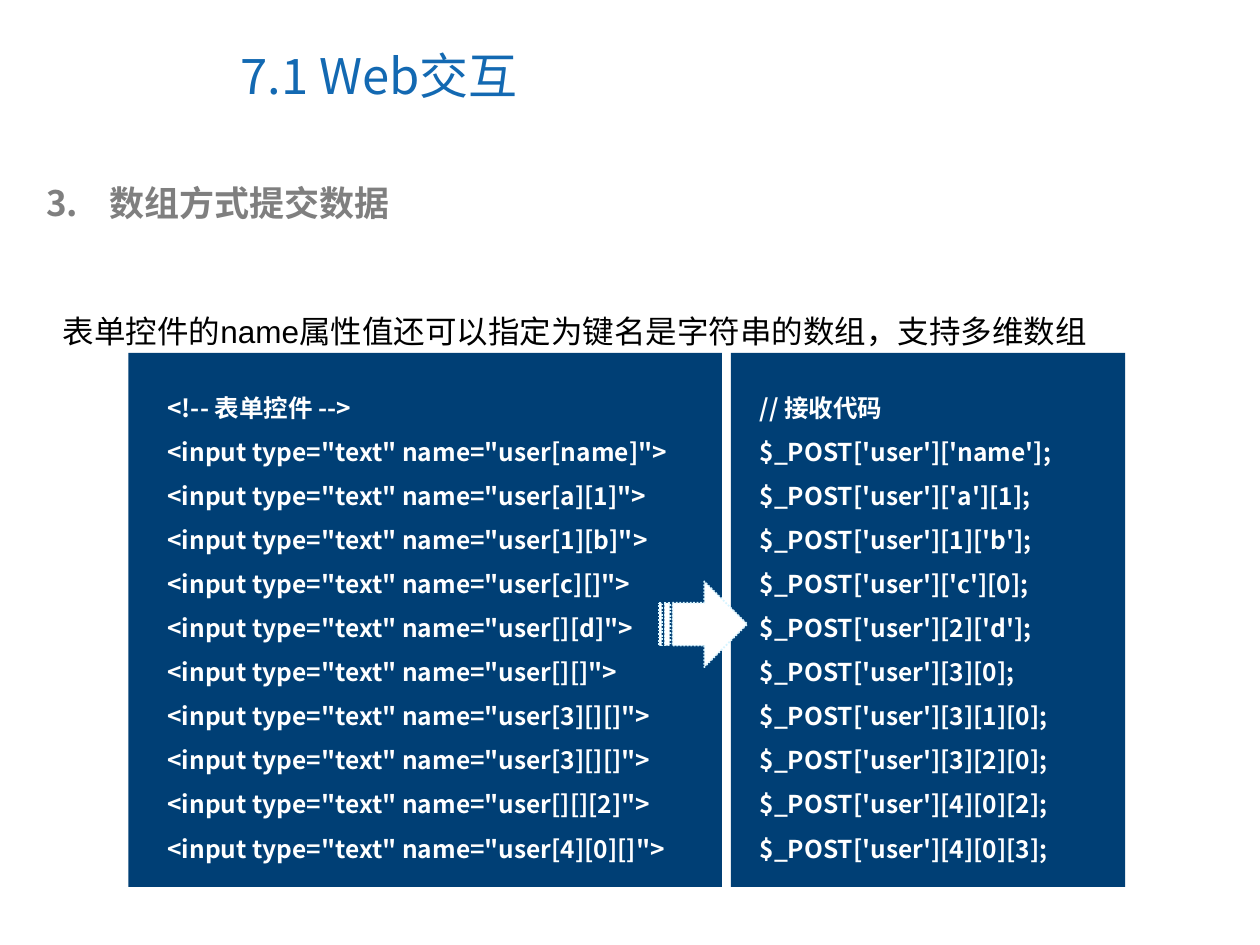
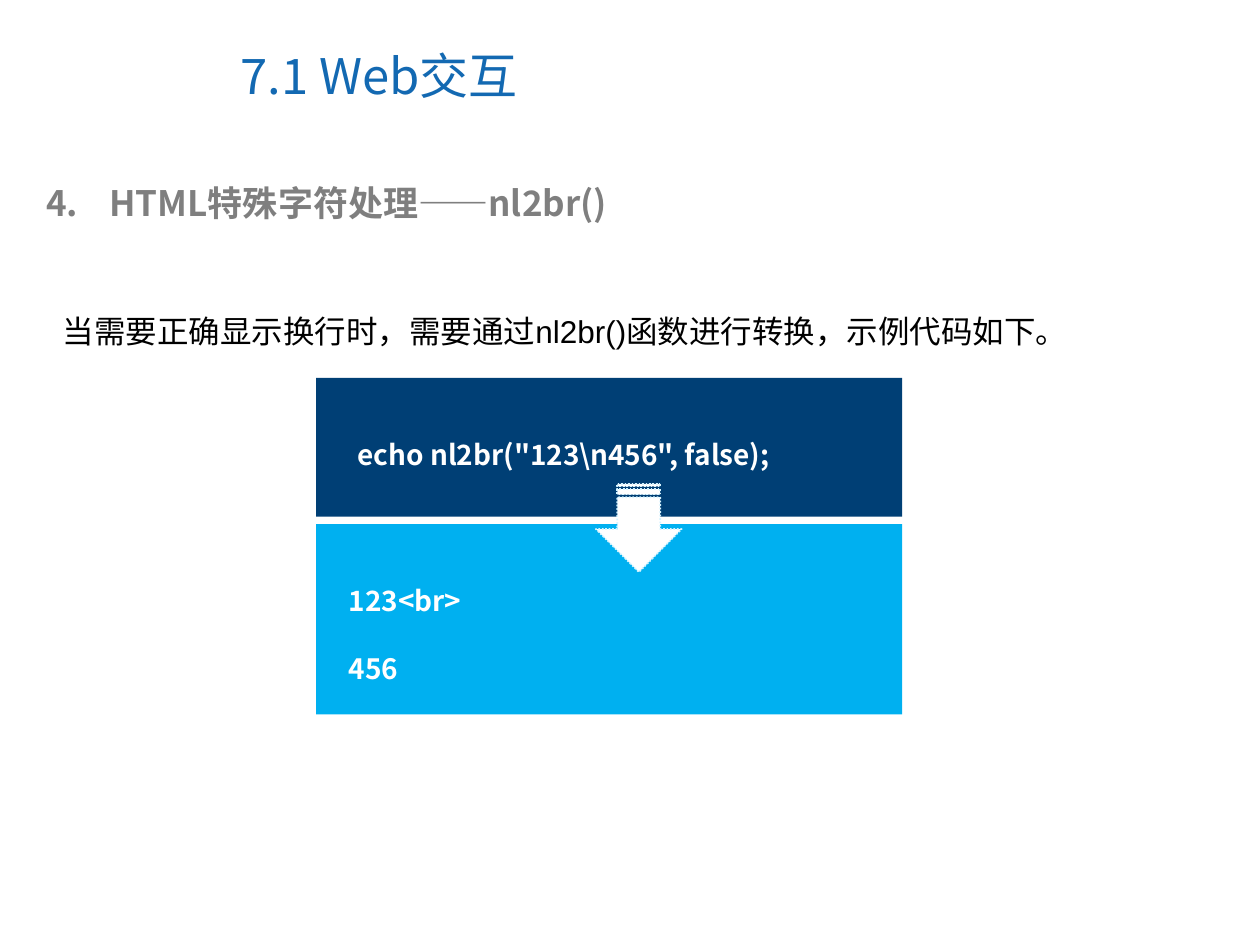
"""Build two slides on submitting form arrays and converting line breaks."""
from dataclasses import dataclass
from typing import NamedTuple

from lxml import etree
from pptx import Presentation
from pptx import util as u
from pptx.dml.color import RGBColor
from pptx.enum import dml, shapes, text
from pptx.oxml import ns

WHITE = RGBColor(0xFF, 0xFF, 0xFF)
BLACK = RGBColor(0x00, 0x00, 0x00)
GRAY = RGBColor(0x7F, 0x7F, 0x7F)
TITLE_BLUE = RGBColor(0x13, 0x69, 0xB2)
NAVY = RGBColor(0x00, 0x3F, 0x75)
SKY = RGBColor(0x00, 0xB0, 0xF0)
PALE_BLUE = RGBColor(0xD5, 0xF4, 0xFF)

SANS = "Noto Sans CJK SC"
LATIN = "Arial"
TITLE = "7.1 Web交互"
ARROW_SIZE = (50.4, 49)
NUMBER_INDENT = u.Pt(36)

FIELDS = [
    ("[name]", "['name']"),
    ("[a][1]", "['a'][1]"),
    ("[1][b]", "[1]['b']"),
    ("[c][]", "['c'][0]"),
    ("[][d]", "[2]['d']"),
    ("[][]", "[3][0]"),
    ("[3][][]", "[3][1][0]"),
    ("[3][][]", "[3][2][0]"),
    ("[][][2]", "[4][0][2]"),
    ("[4][0][]", "[4][0][3]"),
]
FORM_CODE = ["<!-- 表单控件 -->"] + [f'<input type="text" name="user{key}">' for key, _ in FIELDS]
POST_CODE = ["// 接收代码"] + [f"$_POST['user']{index};" for _, index in FIELDS]


class Box(NamedTuple):
    """Left, top, width and height in points."""

    left: float
    top: float
    width: float
    height: float

    def lengths(self) -> list[u.Length]:
        """Return the four values as lengths."""
        return [u.Pt(value) for value in self]


@dataclass(frozen=True)
class TextStyle:
    """Font and paragraph settings of one kind of text."""

    font: dict
    color: RGBColor
    paragraph: dict
    anchor: text.MSO_ANCHOR = text.MSO_ANCHOR.TOP


@dataclass(frozen=True)
class CodePanel:
    """A filled panel with lines of code set in from its edges."""

    box: Box
    inset: tuple[float, float]
    fill: RGBColor
    size: float
    spacing: float
    lines: list[str]


@dataclass(frozen=True)
class Lesson:
    """The content of one slide."""

    number: int
    heading: str
    summary: str
    panels: list[CodePanel]
    arrow_center: tuple[float, float]
    arrow_rotation: float


TITLE_BOX = Box(130.3, 12.2, 371.5, 61.2)
HEADING_BOX = Box(19.4, 100, 664, 31.7)
SUMMARY_BOX = Box(28.8, 153.4, 661.7, 50.4)

TITLE_STYLE = TextStyle({"size": u.Pt(28), "name": SANS}, TITLE_BLUE, {}, text.MSO_ANCHOR.MIDDLE)
HEADING_STYLE = TextStyle({"size": u.Pt(20), "name": SANS, "bold": True}, GRAY, {})
SUMMARY_STYLE = TextStyle({"size": u.Pt(18), "name": LATIN}, BLACK, {"line_spacing": 2.0})

LESSONS = [
    Lesson(
        3,
        "数组方式提交数据",
        "表单控件的name属性值还可以指定为键名是字符串的数组，支持多维数组",
        [
            CodePanel(Box(73.4, 201.6, 339.1, 305.3), (15.2, 10.8), NAVY, 14, 1.5, FORM_CODE),
            CodePanel(Box(417.6, 201.6, 225.4, 305.3), (9.4, 10.8), NAVY, 14, 1.5, POST_CODE),
        ],
        (401.8, 356.7),
        0,
    ),
    Lesson(
        4,
        "HTML特殊字符处理——nl2br()",
        "当需要正确显示换行时，需要通过nl2br()函数进行转换，示例代码如下。",
        [
            CodePanel(Box(180.7, 216, 334.8, 79.2), (16.6, 11.5), NAVY, 16, 2.0,
                      ['echo nl2br("123\\n456", false);']),
            CodePanel(Box(180.7, 299.5, 334.8, 108.7), (11.5, 11.5), SKY, 16, 2.0,
                      ["123<br>", "456"]),
        ],
        (365, 301.7),
        90,
    ),
]


def apply(target, values: dict) -> None:
    """Set each named attribute on the target."""
    for name, value in values.items():
        setattr(target, name, value)


def add_text(container, box: Box, lines: list[str], style: TextStyle):
    """Add a text box with one paragraph per line and return its frame."""
    frame = container.add_textbox(*box.lengths()).text_frame
    apply(frame, {"word_wrap": True, "vertical_anchor": style.anchor})
    for position, line in enumerate(lines):
        paragraph = frame.add_paragraph() if position else frame.paragraphs[0]
        apply(paragraph, style.paragraph)
        run = paragraph.add_run()
        run.text = line
        apply(run.font, style.font)
        run.font.color.rgb = style.color
        east_asian = etree.SubElement(run._r.get_or_add_rPr(), ns.qn("a:ea"))
        east_asian.set("typeface", SANS)
    return frame


def number_paragraph(paragraph, number: int) -> None:
    """Give the paragraph a hanging automatic number."""
    properties = paragraph._p.get_or_add_pPr()
    properties.set("marL", str(NUMBER_INDENT))
    properties.set("indent", str(-NUMBER_INDENT))
    numbering = etree.SubElement(properties, ns.qn("a:buAutoNum"))
    numbering.set("type", "arabicPeriod")
    numbering.set("startAt", str(number))


def add_filled(container, kind: shapes.MSO_SHAPE, box: Box, color: RGBColor):
    """Add a preset shape with a plain fill, no line and no shadow."""
    shape = container.add_shape(kind, *box.lengths())
    shape.shadow.inherit = False
    shape.fill.solid()
    shape.fill.fore_color.rgb = color
    shape.line.fill.background()
    return shape


def add_panel(slide, panel: CodePanel) -> None:
    """Group a panel with its code."""
    group = slide.shapes.add_group_shape().shapes
    add_filled(group, shapes.MSO_SHAPE.RECTANGLE, panel.box, panel.fill)
    left, top, width, height = panel.box
    dx, dy = panel.inset
    font = {"size": u.Pt(panel.size), "name": SANS, "bold": True}
    style = TextStyle(font, WHITE, {"line_spacing": panel.spacing})
    add_text(group, Box(left + dx, top + dy, width - dx, height - 2 * dy), panel.lines, style)


def add_arrow(slide, center: tuple[float, float], rotation: float) -> None:
    """Add a striped arrow leading from one panel to the next."""
    width, height = ARROW_SIZE
    box = Box(center[0] - width / 2, center[1] - height / 2, width, height)
    arrow = add_filled(slide.shapes, shapes.MSO_SHAPE.STRIPED_RIGHT_ARROW, box, WHITE)
    arrow.rotation = rotation
    arrow.line.color.rgb = PALE_BLUE
    apply(arrow.line, {"width": u.Pt(1), "dash_style": dml.MSO_LINE.ROUND_DOT})


def add_lesson(presentation, lesson: Lesson) -> None:
    """Add one slide for a lesson."""
    slide = presentation.slides.add_slide(presentation.slide_layouts[6])
    add_text(slide.shapes, TITLE_BOX, [TITLE], TITLE_STYLE)
    heading = add_text(slide.shapes, HEADING_BOX, [lesson.heading], HEADING_STYLE)
    number_paragraph(heading.paragraphs[0], lesson.number)
    add_text(slide.shapes, SUMMARY_BOX, [lesson.summary], SUMMARY_STYLE)
    for panel in lesson.panels:
        add_panel(slide, panel)
    add_arrow(slide, lesson.arrow_center, lesson.arrow_rotation)


def main() -> None:
    """Build and save the presentation."""
    presentation = Presentation()
    apply(presentation, {"slide_width": u.Pt(720), "slide_height": u.Pt(540)})
    for lesson in LESSONS:
        add_lesson(presentation, lesson)
    presentation.save("out.pptx")


if __name__ == "__main__":
    main()
